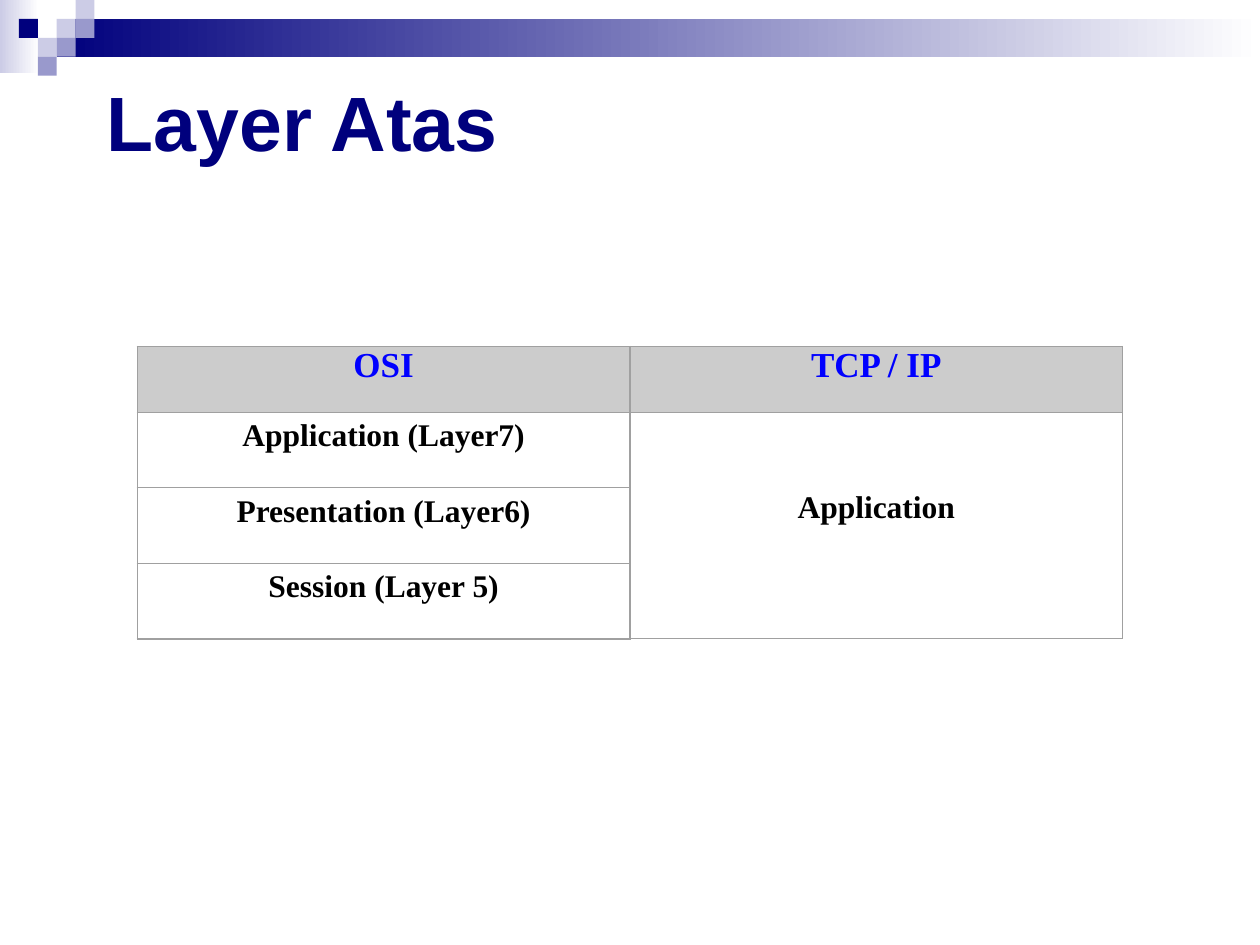
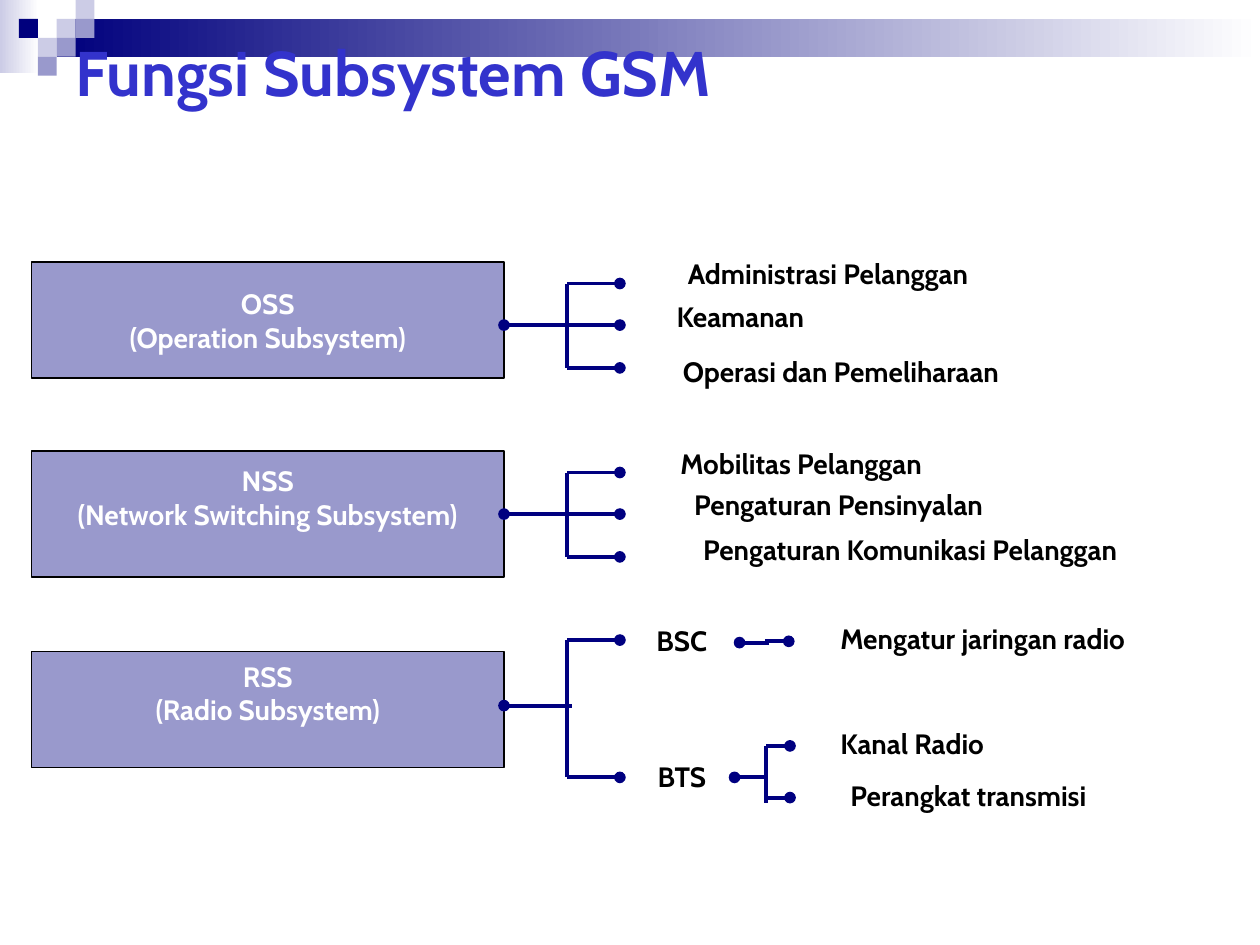
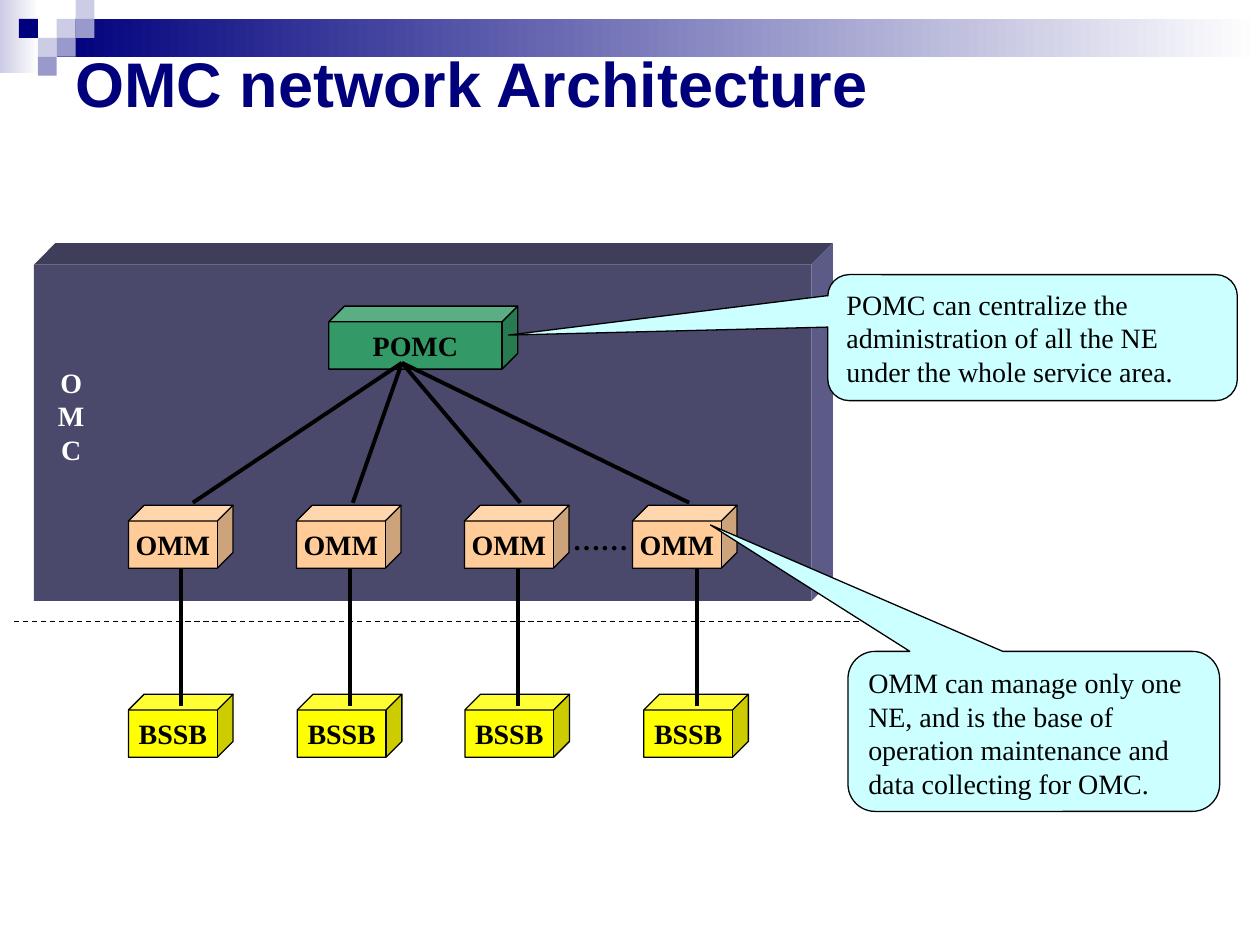
"""Build three slides on network layers, GSM subsystems and OMC architecture."""
from dataclasses import dataclass
from typing import Optional, Sequence

import pptx
import pptx.dml.color
import pptx.enum.dml
import pptx.enum.shapes
import pptx.enum.text
import pptx.oxml
import pptx.oxml.ns
import pptx.util
from pptx.util import Inches

COLORS = {
    "navy": "00007D", "line_navy": "000080", "lavender": "CCCCE6", "violet": "9999CC",
    "title_blue": "3333CC", "head_blue": "0000FF", "head_gray": "CCCCCC", "border": "A0A0A0",
    "black": "000000", "white": "FFFFFF", "yellow": "FFFF00", "peach": "FFCC99",
    "green": "339966", "aqua": "CCFFFF",
    "panel": "4A496B", "panel_top": "3E3D5A", "panel_side": "5C5A86",
}
SERIF = "Times New Roman"
SHAPE = pptx.enum.shapes.MSO_SHAPE
ALIGN = pptx.enum.text.PP_ALIGN
ANCHOR = pptx.enum.text.MSO_ANCHOR


@dataclass(frozen=True)
class Style:
    font: str
    size: float
    color: str
    bold: bool = True
    align: int = ALIGN.CENTER


@dataclass(frozen=True)
class Box:
    left: float
    top: float
    width: float
    height: float

    def emu(self) -> list:
        return [Inches(v) for v in (self.left, self.top, self.width, self.height)]


@dataclass(frozen=True)
class Fork:
    start: float
    stem_y: float
    stem_end: float
    stem_tail: Optional[str]
    trunk_x: float
    trunk_top: float
    trunk_bottom: float
    branches: Sequence[float]
    tip: float


@dataclass(frozen=True)
class Subsystem:
    name: str
    meaning: str
    box: Box
    bottom_inset: float
    fork: Fork


@dataclass(frozen=True)
class Label:
    text: str
    left: float
    middle: float


@dataclass(frozen=True)
class Callout:
    text: str
    box: Box
    tail: Sequence[float]


LABEL = Style("Cabin", 16, "black", align=ALIGN.LEFT)
SUBSYSTEM = Style("Cabin", 16, "white")
NODE = Style(SERIF, 16, "black")
NOTE = Style(SERIF, 16, "black", False, ALIGN.LEFT)

SUBSYSTEMS = [
    Subsystem("OSS", "(Operation Subsystem)", Box(0.25, 2.08, 3.75, 0.92), 0.05,
              Fork(4, 2.58, 4.92, "oval", 4.5, 2.25, 2.92, (2.25, 2.92), 4.92)),
    Subsystem("NSS", "(Network Switching Subsystem)", Box(0.25, 3.58, 3.75, 1), 0.31,
              Fork(4, 4.08, 4.92, "oval", 4.5, 3.75, 4.42, (3.75, 4.42), 4.92)),
    Subsystem("RSS", "(Radio Subsystem)", Box(0.25, 5.17, 3.75, 0.92), 0.31,
              Fork(4, 5.6, 4.54, None, 4.5, 5.08, 6.17, (5.08, 6.17), 4.92)),
]
BTS_FORK = Fork(5.83, 6.17, 6.07, None, 6.08, 5.92, 6.37, (5.92, 6.33), 6.27)
LABELS = [
    Label("Administrasi Pelanggan", 5.46, 2.17),
    Label("Keamanan", 5.37, 2.51),
    Label("Operasi dan Pemeliharaan", 5.42, 2.95),
    Label("Mobilitas Pelanggan", 5.4, 3.68),
    Label("Pengaturan Pensinyalan", 5.51, 4),
    Label("Pengaturan Komunikasi Pelanggan", 5.58, 4.36),
    Label("BSC", 5.21, 5.08),
    Label("BTS", 5.22, 6.16),
    Label("Mengatur jaringan radio", 6.67, 5.07),
    Label("Kanal Radio", 6.67, 5.9),
    Label("Perangkat transmisi", 6.75, 6.31),
]
CALLOUTS = [
    Callout("OMM can manage only one NE, and is the base of operation maintenance and "
            "data collecting for OMC.", Box(6.73, 5.17, 2.95, 1.27), (-0.87, -1.29, 0.17)),
    Callout("POMC can centralize the administration of all the NE under the whole service area.",
            Box(6.57, 2.18, 3.25, 1), (-1.28, -0.02, 0.17)),
]


def rgb(name: str) -> pptx.dml.color.RGBColor:
    return pptx.dml.color.RGBColor.from_string(COLORS[name])


def write(frame, lines: Sequence[str], style: Style, anchor=ANCHOR.MIDDLE,
          wrap: bool = True) -> None:
    frame.word_wrap = wrap
    frame.vertical_anchor = anchor
    for index, line in enumerate(lines):
        paragraph = frame.add_paragraph() if index else frame.paragraphs[0]
        paragraph.alignment = style.align
        run = paragraph.add_run()
        run.text = line
        run.font.name = style.font
        run.font.size = pptx.util.Pt(style.size)
        run.font.bold = style.bold
        run.font.color.rgb = rgb(style.color)


def add_text(slide, box: Box, lines: Sequence[str], style: Style, anchor=ANCHOR.MIDDLE,
             wrap: bool = True, inset: Optional[float] = None) -> None:
    frame = slide.shapes.add_textbox(*box.emu()).text_frame
    if inset is not None:
        frame.margin_left = frame.margin_right = Inches(inset)
        frame.margin_top = frame.margin_bottom = Inches(inset)
    write(frame, lines, style, anchor, wrap)


def paint(shape, fill: str, outline: Optional[str] = None) -> None:
    shape.shadow.inherit = False
    shape.fill.solid()
    shape.fill.fore_color.rgb = rgb(fill)
    if outline:
        shape.line.color.rgb = rgb(outline)
        shape.line.width = pptx.util.Pt(0.75)
    else:
        shape.line.fill.background()


def add_block(slide, box: Box, fill: str, outline: Optional[str] = None, kind=SHAPE.RECTANGLE):
    shape = slide.shapes.add_shape(kind, *box.emu())
    paint(shape, fill, outline)
    return shape


def add_line(slide, x1: float, y1: float, x2: float, y2: float, color: str = "line_navy",
             width: float = 2.25, head: Optional[str] = None, tail: Optional[str] = None):
    line = slide.shapes.add_connector(pptx.enum.shapes.MSO_CONNECTOR.STRAIGHT,
                                      Inches(x1), Inches(y1), Inches(x2), Inches(y2))
    line.line.color.rgb = rgb(color)
    line.line.width = pptx.util.Pt(width)
    properties = line.line._get_or_add_ln()
    for tag, end in (("a:headEnd", head), ("a:tailEnd", tail)):
        if end:
            pptx.oxml.ns.qn(tag)
            properties.append(pptx.oxml.parse_xml(
                f'<{tag} {pptx.oxml.ns.nsdecls("a")} type="{end}"/>'))
    line._element.spPr.append(pptx.oxml.parse_xml(
        f'<a:effectLst {pptx.oxml.ns.nsdecls("a")}/>'))
    return line


def add_fork(slide, fork: Fork):
    add_line(slide, fork.trunk_x, fork.trunk_top, fork.trunk_x, fork.trunk_bottom)
    stem = add_line(slide, fork.start, fork.stem_y, fork.stem_end, fork.stem_y,
                    head="oval", tail=fork.stem_tail)
    for y in fork.branches:
        add_line(slide, fork.trunk_x, y, fork.tip, y, tail="oval")
    return stem


def add_slide(deck):
    slide = deck.slides.add_slide(deck.slide_layouts[6])
    bands = [(Box(0, 0, 0.31, 0.58), "lavender"), (Box(0.45, 0.15, 9.55, 0.3), "navy")]
    for box, color in bands:
        fill = add_block(slide, box, color).fill
        fill.gradient()
        fill.gradient_angle = 0
        for stop, stop_color in zip(fill.gradient_stops, (color, "white")):
            stop.color.rgb = rgb(stop_color)
    unit = 0.15
    squares = {"lavender": [(3, 1), (4, 0), (2, 2)], "violet": [(4, 1), (3, 2), (2, 3)],
               "navy": [(1, 1)]}
    for color, cells in squares.items():
        for column, row in cells:
            add_block(slide, Box(column * unit, row * unit, unit, unit), color)
    return slide


def add_title(slide, text: str, box: Box, size: float, font: str = "Arial",
              color: str = "navy", anchor=ANCHOR.MIDDLE) -> None:
    add_text(slide, box, [text], Style(font, size, color, align=ALIGN.LEFT), anchor)


def set_borders(cell, widths: dict) -> None:
    properties = cell._tc.get_or_add_tcPr()
    for side, points in widths.items():
        properties.append(pptx.oxml.parse_xml(
            f'<a:ln{side} {pptx.oxml.ns.nsdecls("a")} w="{pptx.util.Pt(points)}">'
            f'<a:solidFill><a:srgbClr val="{COLORS["border"]}"/></a:solidFill></a:ln{side}>'))


def build_layers(deck) -> None:
    slide = add_slide(deck)
    add_title(slide, "Layer Atas", Box(0.75, 0.25, 8.5, 1.42), 44)
    rows = [("OSI", "TCP / IP"), ("Application (Layer7)", "Application"),
            ("Presentation (Layer6)", ""), ("Session (Layer 5)", "")]
    table = slide.shapes.add_table(4, 2, *Box(1.09, 2.75, 7.82, 2.32).emu()).table
    table.first_row = table.horz_banding = False
    for column in table.columns:
        column.width = Inches(3.91)
    for r, texts in enumerate(rows):
        table.rows[r].height = Inches(0.6 if r else 0.52)
        for c, text in enumerate(texts):
            cell = table.cell(r, c)
            set_borders(cell, {"L": 1, "R": 1, "T": 0.5 if r else 1,
                               "B": 1 if r == len(rows) - 1 else 0.5})
            if r:
                cell.fill.background()
            else:
                cell.fill.solid()
                cell.fill.fore_color.rgb = rgb("head_gray")
                cell.margin_top = 0
            if text:
                style = Style(SERIF, 18, "black") if r else Style(SERIF, 20, "head_blue")
                write(cell.text_frame, [text], style, ANCHOR.TOP)
    merged = table.cell(1, 1)
    merged.merge(table.cell(3, 1))
    merged.vertical_anchor = ANCHOR.MIDDLE
    merged.margin_top, merged.margin_bottom = 0, Inches(0.28)


def build_subsystems(deck) -> None:
    slide = add_slide(deck)
    add_title(slide, "Fungsi Subsystem GSM", Box(0.5, 0.3, 9, 0.54), 36, "Cabin", "title_blue")
    for subsystem in SUBSYSTEMS:
        box = subsystem.box
        block = add_block(slide, box, "violet", "black")
        block.text_frame.margin_bottom = Inches(subsystem.bottom_inset)
        write(block.text_frame, [subsystem.name, subsystem.meaning], SUBSYSTEM, wrap=False)
        stem = add_fork(slide, subsystem.fork)
        if abs(box.top + box.height / 2 - subsystem.fork.stem_y) < 0.01:
            stem.begin_connect(block, 3)
    add_fork(slide, BTS_FORK)
    add_line(slide, 5.87, 5.1, 6.1, 5.1, head="oval")
    add_line(slide, 6.07, 5.09, 6.26, 5.09, tail="oval")
    for label in LABELS:
        add_text(slide, Box(label.left, label.middle - 0.14, 3.5, 0.28), [label.text], LABEL,
                 inset=0)


def add_face(slide, points: Sequence, fill: str) -> None:
    corners = [(Inches(x), Inches(y)) for x, y in points]
    outline = slide.shapes.build_freeform(*corners[0])
    outline.add_line_segments(corners[1:], close=True)
    paint(outline.convert_to_shape(), fill)


def add_node(slide, text: str, left: float, top: float, fill: str, width: float = 0.83) -> None:
    cube = add_block(slide, Box(left, top, width, 0.5), fill, "black", SHAPE.CUBE)
    write(cube.text_frame, [text], NODE, wrap=False)


def build_architecture(deck) -> None:
    slide = add_slide(deck)
    boundary = add_line(slide, 0.11, 4.93, 6.86, 4.93, "black", 0.75)
    boundary.line.dash_style = pptx.enum.dml.MSO_LINE.DASH

    panel, depth = Box(0.27, 2.1, 6.17, 2.67), 0.17
    right, bottom = panel.left + panel.width, panel.top + panel.height
    back_top, back_right = panel.top - depth, right + depth
    add_block(slide, panel, "panel")
    add_face(slide, [(panel.left, panel.top), (panel.left + depth, back_top),
                     (back_right, back_top), (right, panel.top)], "panel_top")
    add_face(slide, [(right, panel.top), (back_right, back_top),
                     (back_right, bottom - depth), (right, bottom)], "panel_side")

    bssb_lefts = (1.02, 2.36, 3.69, 5.11)
    for left in bssb_lefts:
        add_node(slide, "BSSB", left, 5.51, "yellow")
    for index in range(4):
        add_node(slide, "OMM", 1.02 + index * 4 / 3, 4.01, "peach")
    add_node(slide, "POMC", 2.61, 2.43, "green", 1.5)
    for left in bssb_lefts:
        add_line(slide, left + 0.42, 5.6, left + 0.42, 4.51, "black")
    add_text(slide, Box(4.44, 4.1, 0.65, 0.37), ["……"], NODE, ANCHOR.TOP, False)
    add_text(slide, Box(0.36, 2.85, 0.41, 0.9), list("OMC"), Style(SERIF, 16, "white"),
             ANCHOR.TOP, False)
    for callout in CALLOUTS:
        bubble = add_block(slide, callout.box, "aqua", "black", SHAPE.ROUNDED_RECTANGULAR_CALLOUT)
        for index, value in enumerate(callout.tail):
            bubble.adjustments[index] = value
        write(bubble.text_frame, [callout.text], NOTE, ANCHOR.TOP)
    for x in (1.53, 2.8, 4.13, 5.47):
        add_line(slide, 3.19, 2.88, x, 3.99, "black")
    add_title(slide, "OMC network Architecture", Box(0.5, 0.3, 9.5, 1.25), 36, anchor=ANCHOR.TOP)


def main() -> None:
    deck = pptx.Presentation()
    deck.slide_width, deck.slide_height = Inches(10), Inches(7.5)
    build_layers(deck)
    build_subsystems(deck)
    build_architecture(deck)
    deck.save("out.pptx")


if __name__ == "__main__":
    main()
